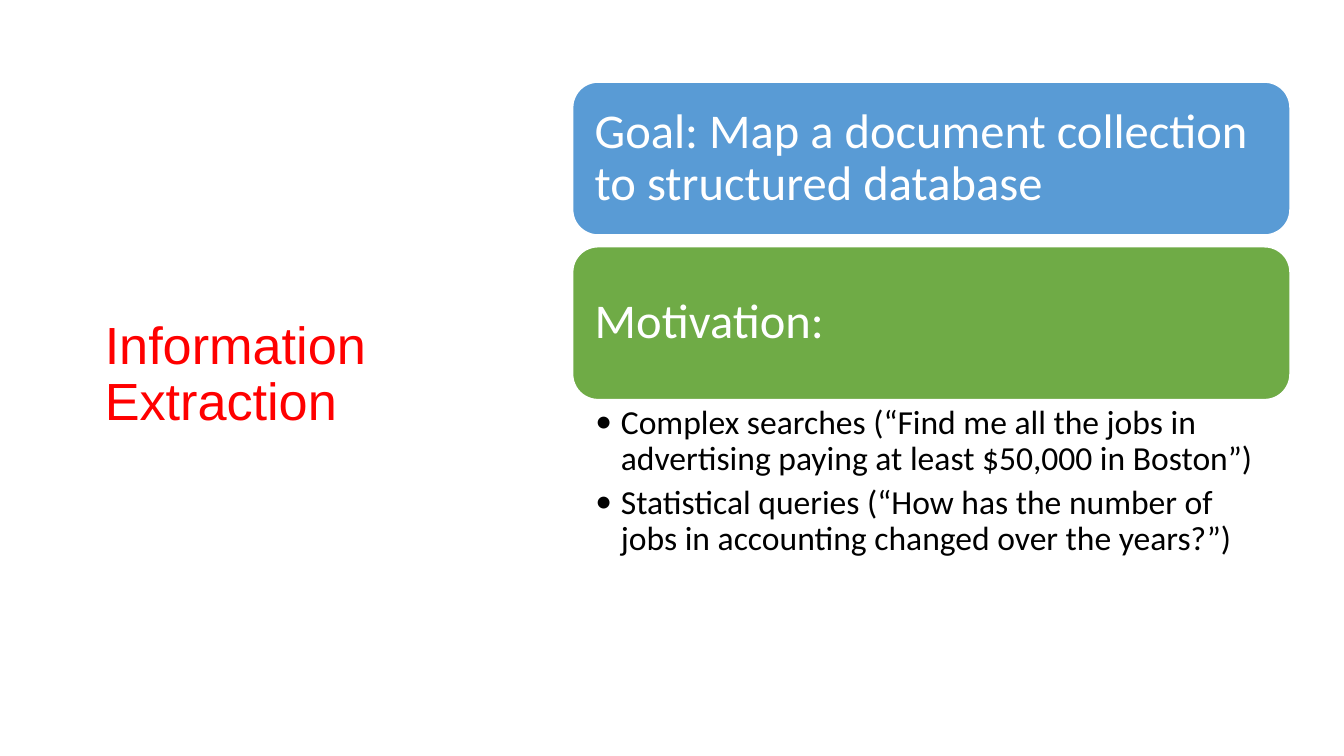
import dataclasses

import lxml.etree
import pptx
import pptx.dml.color
import pptx.enum.shapes
import pptx.enum.text
import pptx.oxml.ns
import pptx.util

COLUMNS, ROWS = 100, 56.25
CELL = pptx.util.Inches(0.1)


@dataclasses.dataclass(frozen=True)
class Theme:
    heading_font: str = "Arial"
    body_font: str = "Calibri"
    heading_size: int = 28
    card_size: int = 26
    bullet_size: int = 18
    heading: str = "FF0000"
    goal: str = "599BD5"
    motivation: str = "6FAB46"
    light: str = "FFFFFF"
    dark: str = "000000"


@dataclasses.dataclass(frozen=True)
class Box:
    left: float
    top: float
    width: float
    height: float

    def row(self, top, height):
        return Box(self.left, self.top + top, self.width, height)

    def lengths(self):
        return [grid(value) for value in dataclasses.astuple(self)]


THEME = Theme()


def grid(cells):
    return pptx.util.Emu(round(cells * CELL))


def rgb(value):
    return pptx.dml.color.RGBColor.from_string(value)


def apply_format(target, values):
    for name, value in values.items():
        setattr(target, name, value)


def write_text(frame, paragraphs, font, size, color, margins, anchor):
    sides = ("margin_left", "margin_top", "margin_right", "margin_bottom")
    apply_format(frame, {"word_wrap": True, "vertical_anchor": anchor,
                         **dict(zip(sides, map(grid, margins)))})
    for index, wording in enumerate(paragraphs):
        paragraph = frame.paragraphs[0] if index == 0 else frame.add_paragraph()
        apply_format(paragraph, {"alignment": pptx.enum.text.PP_ALIGN.LEFT,
                                 "line_spacing": 0.9})
        run = paragraph.add_run()
        run.text = wording
        apply_format(run.font, {"name": font, "size": pptx.util.Pt(size)})
        run.font.color.rgb = rgb(color)


def add_heading(slide, box, wording):
    heading = slide.shapes.add_textbox(*box.lengths())
    write_text(heading.text_frame, [wording], THEME.heading_font, THEME.heading_size,
               THEME.heading, (0.7, 0.4, 0.7, 0.4), pptx.enum.text.MSO_ANCHOR.MIDDLE)


def add_card(slide, box, wording, color):
    card = slide.shapes.add_shape(
        pptx.enum.shapes.MSO_SHAPE.ROUNDED_RECTANGLE, *box.lengths())
    card.shadow.inherit = False
    card.fill.solid()
    card.fill.fore_color.rgb = rgb(color)
    card.line.color.rgb = rgb(THEME.light)
    card.line.width = pptx.util.Pt(1)
    write_text(card.text_frame, [wording], THEME.body_font, THEME.card_size,
               THEME.light, (1.1, 1.1, 1.1, 1.1), pptx.enum.text.MSO_ANCHOR.MIDDLE)


def add_bullets(slide, box, examples):
    bullets = slide.shapes.add_textbox(*box.lengths())
    write_text(bullets.text_frame, examples, THEME.body_font, THEME.bullet_size,
               THEME.dark, (1.7, 0.4, 2, 0.4), pptx.enum.text.MSO_ANCHOR.TOP)
    for index, paragraph in enumerate(bullets.text_frame.paragraphs):
        paragraph.space_before = pptx.util.Pt(4 if index else 0)
        properties = paragraph._p.get_or_add_pPr()
        properties.set("marL", str(grid(1.9)))
        properties.set("indent", str(-grid(1.9)))
        for tag, key, value in (("a:buFont", "typeface", THEME.body_font),
                                ("a:buChar", "char", "•")):
            marker = lxml.etree.SubElement(properties, pptx.oxml.ns.qn(tag))
            marker.set(key, value)


def add_outline(slide, box, cards, examples):
    card_height, pitch = 11.4, 12.25
    for index, (wording, color) in enumerate(cards):
        add_card(slide, box.row(index * pitch, card_height), wording, color)
    cards_end = (len(cards) - 1) * pitch + card_height
    add_bullets(slide, box.row(cards_end, box.height - cards_end), examples)


def main():
    deck = pptx.Presentation()
    apply_format(deck, {"slide_width": grid(COLUMNS), "slide_height": grid(ROWS)})
    slide = deck.slides.add_slide(deck.slide_layouts[6])
    add_heading(slide, Box(7.1, 8.3, 28, 39.3), "Information Extraction")
    add_outline(
        slide, Box(42.6, 6.1, 53.4, 43.8),
        [("Goal: Map a document collection to structured database", THEME.goal),
         ("Motivation:", THEME.motivation)],
        ["Complex searches (“Find me all the jobs in advertising paying at least $50,000 in Boston”)",
         "Statistical queries (“How has the number of jobs in accounting changed over the years?”)"])
    deck.save("out.pptx")


if __name__ == "__main__":
    main()
